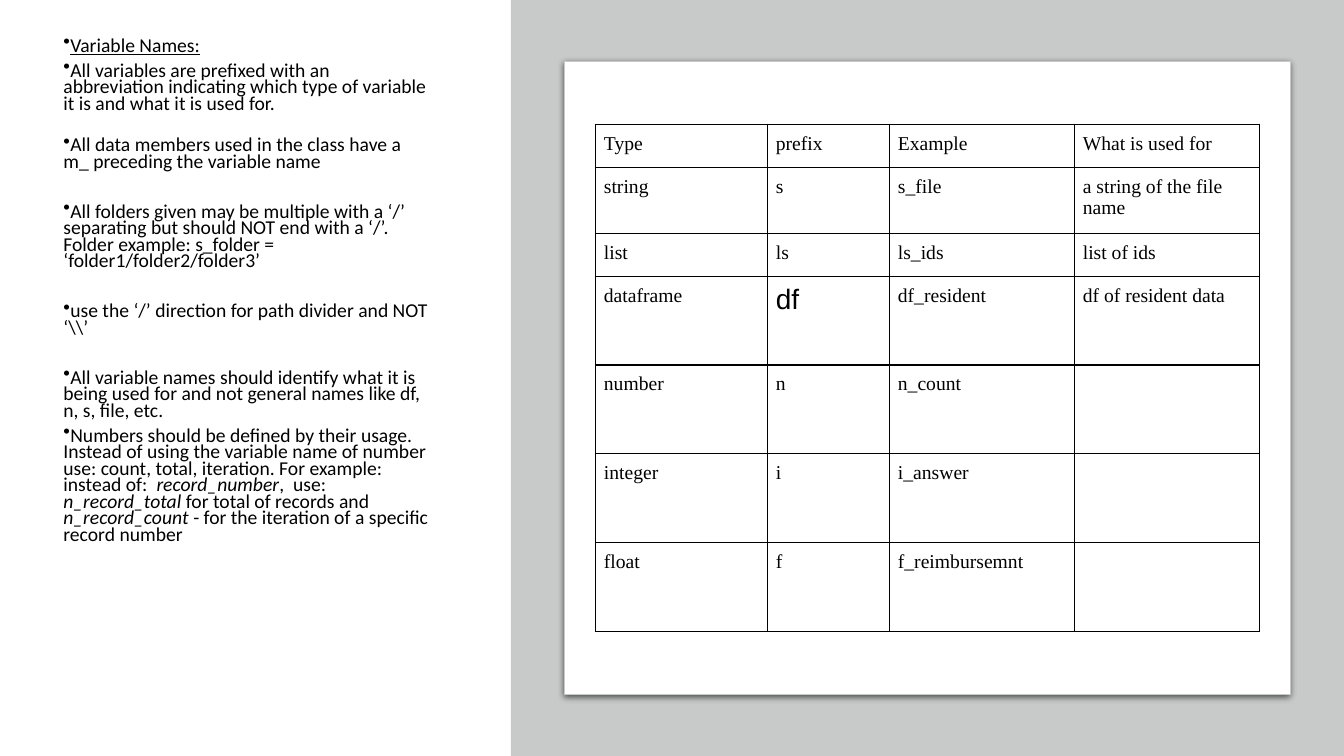
from lxml.etree import SubElement
from pptx import Presentation
from pptx.dml.color import RGBColor
from pptx.enum.shapes import MSO_SHAPE
from pptx.oxml import parse_xml
from pptx.oxml.ns import nsdecls, qn
from pptx.util import Pt

BLACK, WHITE, GREY = "000000", "FFFFFF", "C8CACA"

RULES = [
    (0, [("Variable Names:", "u")]),
    (6, [("All variables are prefixed with an abbreviation indicating which type "
          "of variable it is and what it is used for.", "")]),
    (18, [("All data members used in the class have a m_ preceding the variable name", "")]),
    (24, [("All folders given may be multiple with a ‘/’ separating but should NOT end "
           "with a ‘/’. Folder example: s_folder = ‘folder1/folder2/folder3’", "")]),
    (24, [("use the ‘/’ direction for path divider and NOT ‘\\\\’", "")]),
    (24, [("All variable names should identify what it is being used for and not "
           "general names like df, n, s, file, etc.", "")]),
    (6, [("Numbers should be defined by their usage. Instead of using the variable name "
          "of number use: count, total, iteration. For example: instead of:  ", ""),
         ("record_number", "i"), (",  use: ", ""),
         ("n_record_total ", "i"), ("for total of records and ", ""),
         ("n_record_count ", "i"), ("- for the iteration of a specific record number", "")]),
]

PREFIXES = [
    ("Type", "prefix", "Example", "What is used for"),
    ("string", "s", "s_file", "a string of the file name"),
    ("list", "ls", "ls_ids", "list of ids"),
    ("dataframe", "df", "df_resident", "df of resident data"),
    ("number", "n", "n_count", ""),
    ("integer", "i", "i_answer", ""),
    ("float", "f", "f_reimbursemnt", ""),
]
COLS = [122.8, 87.2, 132.1, 132.1]
ROWS = [30.7, 47.1, 30.7] + [63.4] * 4


def rgb(color):
    """Turn a hex string into a colour."""
    return RGBColor.from_string(color)


def add_run(p, text, font, size):
    """Add one black run and return it."""
    r = p.add_run()
    r.text = text
    r.font.name, r.font.size = font, Pt(size)
    r.font.color.rgb = rgb(BLACK)
    return r


def add_bullet(p):
    """Give a paragraph a black bullet without an indent."""
    pPr = p._p.get_or_add_pPr()
    pPr.set("marL", "0")
    pPr.set("indent", "0")
    SubElement(SubElement(pPr, qn("a:buClr")), qn("a:srgbClr")).set("val", BLACK)
    SubElement(pPr, qn("a:buChar")).set("char", "•")


def add_rules(s, x, y, w, h):
    """Write the naming rules as a bulleted list in the box."""
    tf = s.shapes.add_textbox(Pt(x), Pt(y), Pt(w), Pt(h)).text_frame
    tf.word_wrap = True
    for i, (gap, runs) in enumerate(RULES):
        p = tf.add_paragraph() if i else tf.paragraphs[0]
        p.line_spacing, p.space_before = 0.7, Pt(gap)
        add_bullet(p)
        for text, style in runs:
            r = add_run(p, text, "Calibri", 14)
            r.font.underline = style == "u"
            r.font.italic = style == "i"


def add_panel(s, x, y, w, h, fill):
    """Draw a plain filled rectangle and return it."""
    sp = s.shapes.add_shape(MSO_SHAPE.RECTANGLE, Pt(x), Pt(y), Pt(w), Pt(h))
    sp.shadow.inherit = False
    sp.fill.solid()
    sp.fill.fore_color.rgb = rgb(fill)
    sp.line.fill.background()
    return sp


def add_card(s, x, y, w, h):
    """Draw the white card with its outline and soft shadow."""
    sp = add_panel(s, x, y, w, h, WHITE)
    sp.line.color.rgb = rgb(GREY)
    sp.line.width = Pt(0.75)
    sp._element.spPr.find(qn("a:effectLst")).append(parse_xml(
        f'<a:outerShdw {nsdecls("a")} blurRad="{Pt(4.5)}" dist="{Pt(1.5)}" dir="5400000" '
        f'rotWithShape="0"><a:srgbClr val="{BLACK}"><a:alpha val="63000"/></a:srgbClr>'
        '</a:outerShdw>'))


def format_cell(cell):
    """Set thin black borders, even margins and no fill."""
    tcPr = cell._tc.get_or_add_tcPr()
    for side in "LRTB":
        tcPr.append(parse_xml(
            f'<a:ln{side} {nsdecls("a")} w="{Pt(1)}"><a:solidFill>'
            f'<a:srgbClr val="{BLACK}"/></a:solidFill></a:ln{side}>'))
    cell.fill.background()
    cell.margin_left = cell.margin_right = Pt(6)
    cell.margin_top = cell.margin_bottom = Pt(6)


def add_prefix_table(s, x, y):
    """Build the table of variable prefixes from its top left corner."""
    table = s.shapes.add_table(len(ROWS), len(COLS), Pt(x), Pt(y),
                               Pt(sum(COLS)), Pt(sum(ROWS))).table
    table.first_row = table.horz_banding = False
    for col, width in zip(table.columns, COLS):
        col.width = Pt(width)
    for row, height, texts in zip(table.rows, ROWS, PREFIXES):
        row.height = Pt(height)
        for cell, text in zip(row.cells, texts):
            format_cell(cell)
            font, size = ("Arial", 20) if text == "df" else ("Times New Roman", 14)
            if text:
                add_run(cell.text_frame.paragraphs[0], text, font, size)


def add_naming_slide(prs):
    """Add the slide with the rules at left and the table at right."""
    s = prs.slides.add_slide(prs.slide_layouts[6])
    add_rules(s, 38.2, 24.5, 275.8, 421.2)
    add_panel(s, 365, 0, 595, 540, GREY)
    add_card(s, 403.2, 43.9, 518.4, 452.2)
    add_prefix_table(s, 425.4, 88.8)


def main():
    """Build and save the presentation."""
    prs = Presentation()
    prs.slide_width, prs.slide_height = Pt(960), Pt(540)
    add_naming_slide(prs)
    prs.save("out.pptx")


if __name__ == "__main__":
    main()
